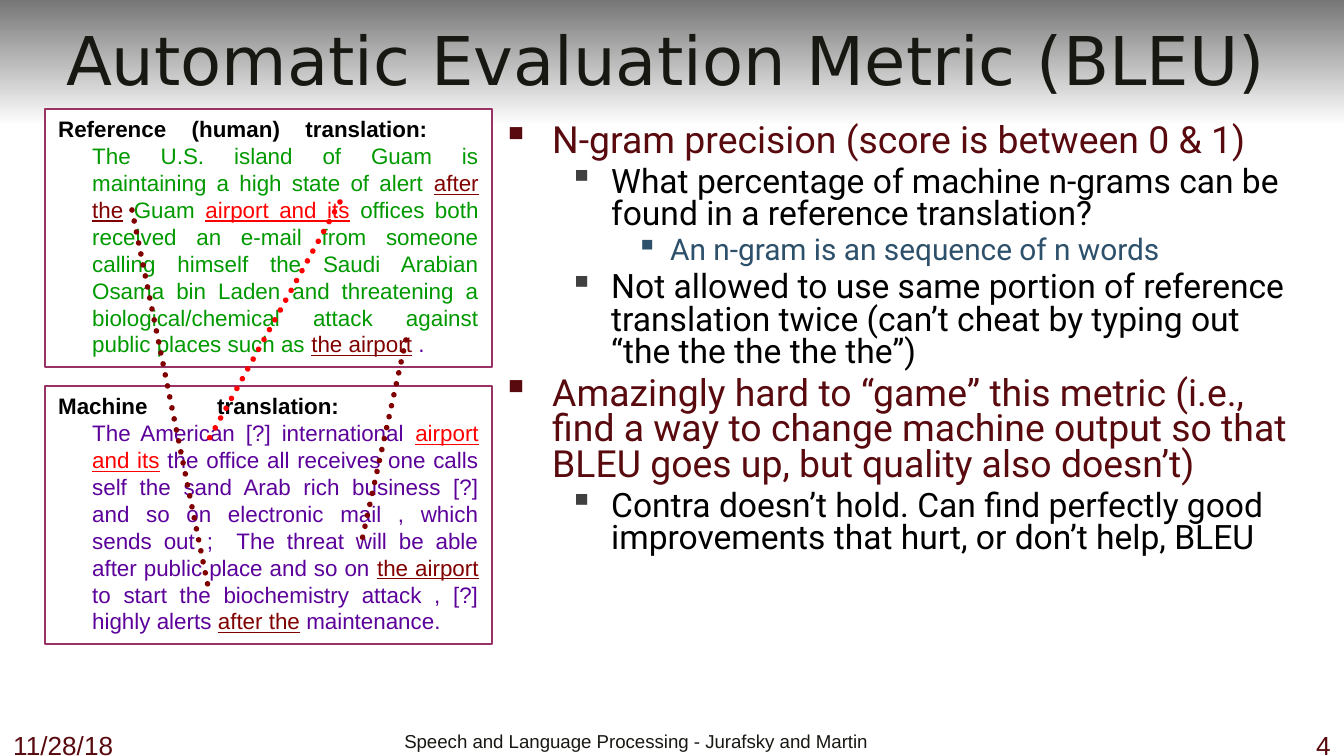
from lxml.etree import SubElement
from pptx import Presentation
from pptx.dml.color import RGBColor
from pptx.enum.dml import MSO_LINE
from pptx.enum.shapes import MSO_CONNECTOR, MSO_SHAPE
from pptx.enum.text import MSO_ANCHOR, PP_ALIGN
from pptx.oxml.ns import qn
from pptx.util import Pt

BLACK = RGBColor(0x00, 0x00, 0x00)
WHITE = RGBColor(0xFF, 0xFF, 0xFF)
GRAY = RGBColor(0x77, 0x77, 0x77)
CHARCOAL = RGBColor(0x40, 0x40, 0x40)
INK = RGBColor(0x18, 0x18, 0x13)
WINE = RGBColor(0x59, 0x0A, 0x0E)
SLATE = RGBColor(0x2D, 0x50, 0x6B)
PLUM = RGBColor(0x99, 0x33, 0x66)
GREEN = RGBColor(0x00, 0x99, 0x00)
PURPLE = RGBColor(0x5C, 0x02, 0x9B)
RED = RGBColor(0xFF, 0x00, 0x00)
MAROON = RGBColor(0x80, 0x00, 0x00)

MATCH_COLORS = (RED, MAROON)
LEVELS = (
    (50, 50, 20, WINE, WINE),
    (109, 42, 18, BLACK, CHARCOAL),
    (168, 34, 16, SLATE, SLATE),
)

POINTS = (
    (0, "N-gram precision (score is between 0 & 1)"),
    (1, "What percentage of machine n-grams can be found in a reference translation?"),
    (2, "An n-gram is an sequence of n words"),
    (1, "Not allowed to use same portion of reference translation twice "
        "(can’t cheat by typing out “the the the the the”)"),
    (0, "Amazingly hard to “game” this metric (i.e., find a way to change "
        "machine output so that BLEU goes up, but quality also doesn’t)"),
    (1, "Contra doesn’t hold. Can find perfectly good improvements that hurt, "
        "or don’t help, BLEU"),
)

REFERENCE = (
    ("The U.S. island of Guam is maintaining a high state of alert ", GREEN),
    ("after the", MAROON),
    (" Guam ", GREEN),
    ("airport and its", RED),
    (" offices both received an e-mail from someone calling himself the Saudi "
     "Arabian Osama bin Laden and threatening a biological/chemical attack "
     "against public places such as ", GREEN),
    ("the airport", MAROON),
    (" .", PURPLE),
)

MACHINE = (
    ("The American [?] international ", PURPLE),
    ("airport and its", RED),
    (" the office all receives one calls self the sand Arab rich business [?] "
     "and so on electronic mail , which sends out ;  The threat will be able "
     "after public place and so on ", PURPLE),
    ("the airport", MAROON),
    (" to start the biochemistry attack , [?] highly alerts ", PURPLE),
    ("after the", MAROON),
    (" maintenance.", PURPLE),
)

MATCHES = (
    (340, 202, 208, 441, RED),
    (132, 210, 208, 586, MAROON),
    (406, 340, 362, 540, MAROON),
)


def px(*lengths):
    return [round(length * 914400 / 134.4) for length in lengths]


class SlideBuilder:
    """Holds the fonts and the current slide, and draws each kind of element."""

    text_font = "Arial"
    title_font = "DejaVu Sans"
    body_font = "Roboto"

    def __init__(self, page):
        self.page = page

    def style(self, font, name, size, color):
        font.name = name
        font.size = Pt(size)
        font.color.rgb = color

    def indent(self, paragraph, margin, hanging=0):
        properties = paragraph._p.get_or_add_pPr()
        left, first = px(margin, -hanging)
        properties.set("marL", str(left))
        properties.set("indent", str(first))
        return properties

    def text_box(self, *bounds):
        frame = self.page.shapes.add_textbox(*px(*bounds)).text_frame
        frame.word_wrap = True
        return frame

    def rectangle(self, *bounds):
        box = self.page.shapes.add_shape(MSO_SHAPE.RECTANGLE, *px(*bounds))
        box.shadow.inherit = False
        return box

    def header_band(self, *bounds):
        band = self.rectangle(*bounds)
        band.line.fill.background()
        band.fill.gradient()
        band.fill.gradient_angle = 270
        for stop, position, color in zip(band.fill.gradient_stops, (0, 1), (GRAY, WHITE)):
            stop.position = position
            stop.color.rgb = color

    def title(self, text, *bounds):
        box = self.page.shapes.title
        box._element.getparent().append(box._element)
        box.left, box.top, box.width, box.height = px(*bounds)
        frame = box.text_frame
        frame.text = text
        frame.vertical_anchor = MSO_ANCHOR.MIDDLE
        para = frame.paragraphs[0]
        para.alignment = PP_ALIGN.CENTER
        self.style(para.font, self.title_font, 36, INK)

    def label(self, text, bounds, size, color, align=PP_ALIGN.LEFT, margin=0):
        para = self.text_box(*bounds).paragraphs[0]
        para.text = text
        para.alignment = align
        self.indent(para, margin)
        self.style(para.font, self.text_font, size, color)

    def bullets(self, points, *bounds):
        frame = self.text_box(*bounds)
        for index, (level, text) in enumerate(points):
            para = frame.add_paragraph() if index else frame.paragraphs[0]
            margin, hanging, size, color, bullet_color = LEVELS[level]
            para.text = text
            para.level = level
            properties = self.indent(para, margin, hanging)
            tint = SubElement(properties, qn("a:buClr"))
            SubElement(tint, qn("a:srgbClr"), val=str(bullet_color))
            SubElement(properties, qn("a:buChar"), char="▪")
            para.line_spacing = 0.8
            para.space_before = Pt(size * 0.2)
            self.style(para.font, self.body_font, size, color)

    def translation(self, heading, spans, *bounds):
        box = self.rectangle(*bounds)
        box.fill.solid()
        box.fill.fore_color.rgb = WHITE
        box.line.color.rgb = PLUM
        box.line.width = Pt(0.75)
        frame = box.text_frame
        frame.word_wrap = True
        frame.vertical_anchor = MSO_ANCHOR.TOP
        para = frame.paragraphs[0]
        para.alignment = PP_ALIGN.JUSTIFY
        self.indent(para, 34, 34)
        self.style(para.font, self.text_font, 12, BLACK)
        span = para.add_run()
        span.text = heading
        span.font.bold = True
        span.font.color.rgb = BLACK
        para.add_line_break()
        for text, color in spans:
            span = para.add_run()
            span.text = text
            span.font.color.rgb = color
            span.font.underline = color in MATCH_COLORS

    def match_line(self, x1, y1, x2, y2, color):
        connector = self.page.shapes.add_connector(MSO_CONNECTOR.STRAIGHT, *px(x1, y1, x2, y2))
        connector.line.color.rgb = color
        connector.line.width = Pt(3)
        connector.line.dash_style = MSO_LINE.ROUND_DOT
        properties = connector._element.spPr
        properties.find(qn("a:ln")).set("cap", "rnd")
        SubElement(properties, qn("a:effectLst"))


def main():
    deck = Presentation()
    deck.slide_width, deck.slide_height = px(1344, 756)
    builder = SlideBuilder(deck.slides.add_slide(deck.slide_layouts[5]))
    builder.header_band(0, 0, 1344, 126)
    builder.label("11/28/18", (0, 723, 179, 34), 14, WINE)
    builder.label("Speech and Language Processing - Jurafsky and Martin",
                  (179, 723, 1098, 34), 10, INK, margin=212)
    builder.label("4", (1277, 723, 67, 34), 14, WINE, PP_ALIGN.RIGHT)
    builder.title("Automatic Evaluation Metric (BLEU)", 11, 0, 1310, 118)
    builder.bullets(POINTS, 489, 118, 817, 660)
    builder.translation("Reference (human) translation:  ", REFERENCE, 45, 109, 447, 258)
    builder.translation("Machine translation:  ", MACHINE, 45, 386, 447, 258)
    for match in MATCHES:
        builder.match_line(*match)
    deck.save("out.pptx")


if __name__ == "__main__":
    main()
